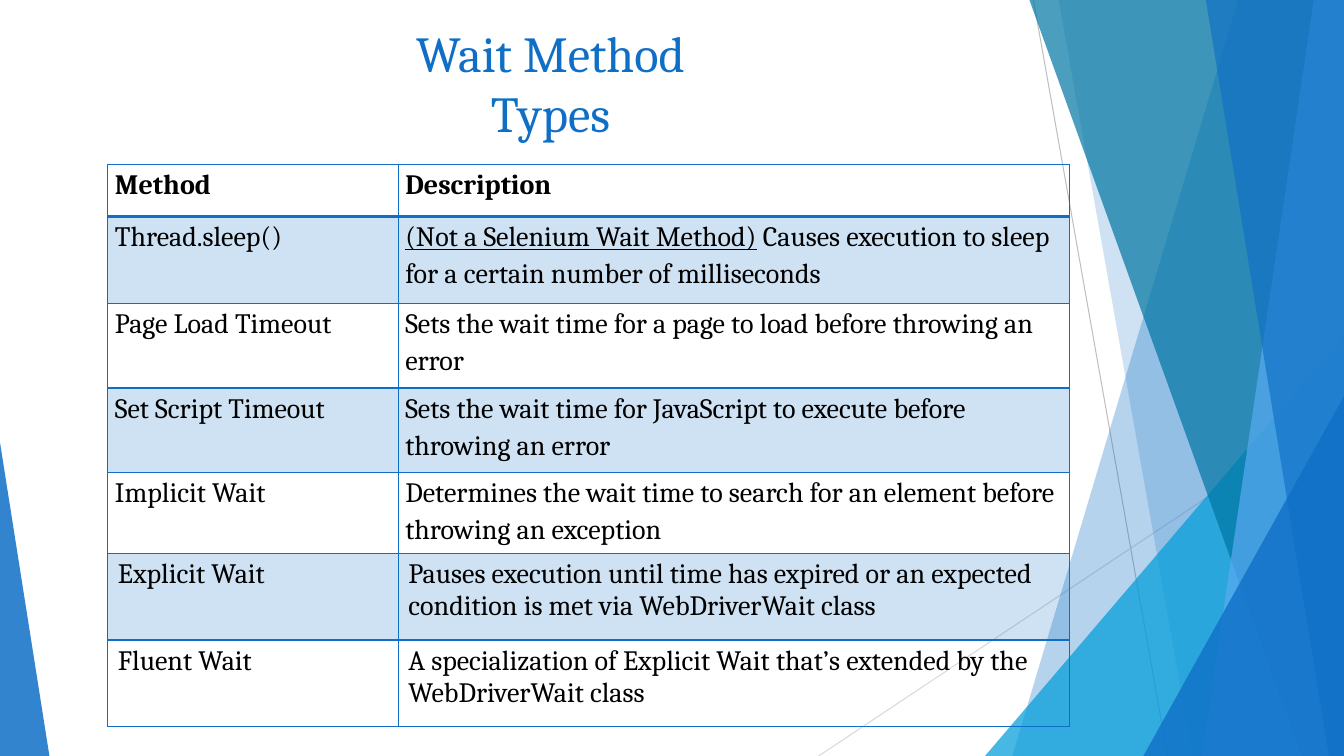
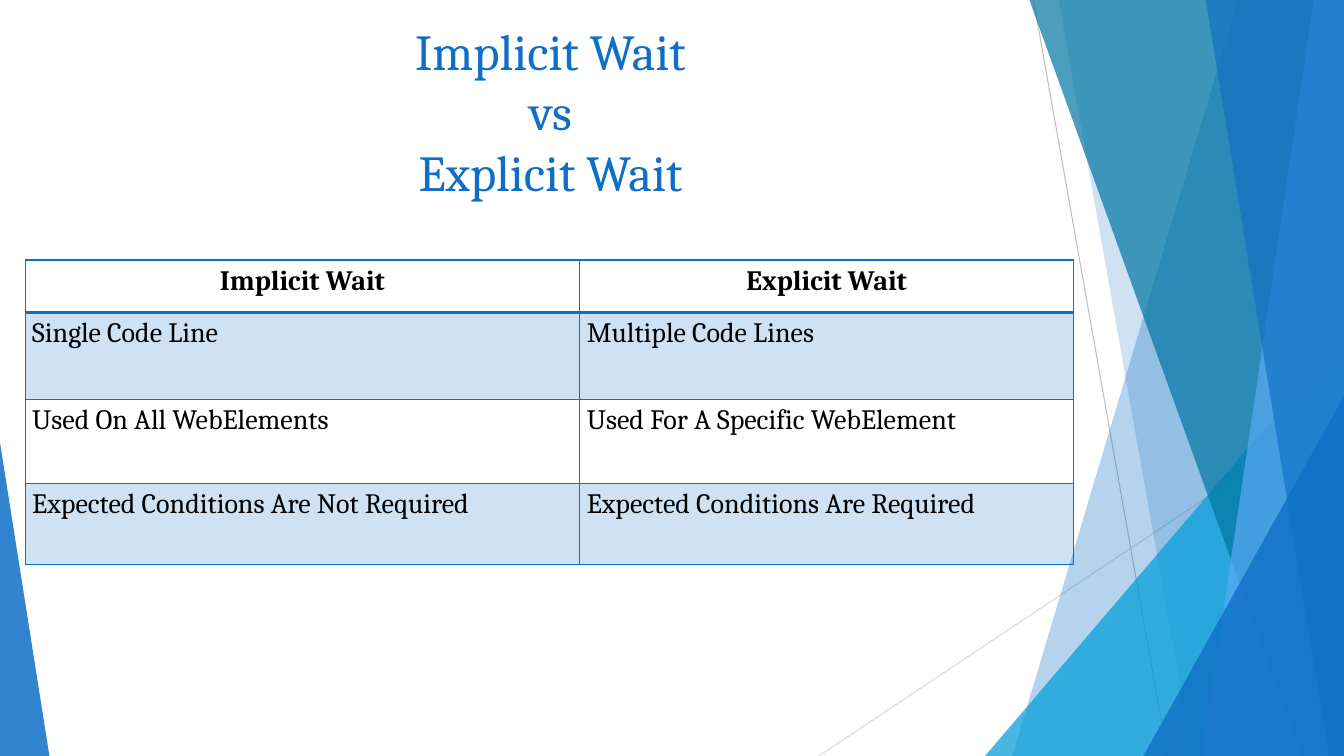
from pptx import Presentation
from pptx.dml.color import RGBColor
from pptx.enum.shapes import MSO_CONNECTOR, MSO_SHAPE
from pptx.enum.text import MSO_ANCHOR, PP_ALIGN
from pptx.oxml.ns import qn
from pptx.util import Inches, Pt
from lxml.etree import SubElement

WIDE, HIGH = 13.33, 7.5
BLUE, CYAN, TEAL, SKY = "0F6FC6", "009DD9", "0076A3", "59AAF2"
BLACK, FONT = "000000", "Cambria"

WAITS = [
    ("Method", "Description"),
    ("Thread.sleep()", ("(Not a Selenium Wait Method)",
                        " Causes execution to sleep for a certain number of milliseconds")),
    ("Page Load Timeout", "Sets the wait time for a page to load before throwing an error"),
    ("Set Script Timeout",
     "Sets the wait time for JavaScript to execute before throwing an error"),
    ("Implicit Wait",
     "Determines the wait time to search for an element before throwing an exception"),
    ("Explicit Wait", "Pauses execution until time has expired or an expected "
                      "condition is met via WebDriverWait class"),
    ("Fluent Wait", "A specialization of Explicit Wait that’s extended by the "
                    "WebDriverWait class"),
]
VERSUS = [
    ("Implicit Wait", "Explicit Wait"),
    ("Single Code Line", "Multiple Code Lines"),
    ("Used On All WebElements", "Used For A Specific WebElement"),
    ("Expected Conditions Are Not Required", "Expected Conditions Are Required"),
]


def rgb(code):
    return RGBColor.from_string(code)


def tint(fill, code, alpha):
    """Solid fill with an opacity in percent."""
    fill.solid()
    fill.fore_color.rgb = rgb(code)
    color = fill._xPr.find(qn("a:solidFill"))[0]
    SubElement(color, qn("a:alpha"), val=str(alpha * 1000))


def style(run, size, code, bold=False):
    font = run.font
    font.name, font.size, font.bold = FONT, Pt(size), bold
    font.color.rgb = rgb(code)


def finish(shape, code, alpha):
    tint(shape.fill, code, alpha)
    shape.line.fill.background()
    shape.shadow.inherit = False


def ray(slide, start, end, code):
    line = slide.shapes.add_connector(
        MSO_CONNECTOR.STRAIGHT, *(Inches(n) for n in (*start, *end)))
    line.line.color.rgb = rgb(code)
    line.line.width = Pt(0.75)
    SubElement(line._element.spPr, qn("a:effectLst"))


def band(slide, top, foot, code, alpha):
    """Full-height band from a slanted left edge to the slide's right edge."""
    points = [(Inches(x), Inches(y))
              for x, y in ((top, 0), (WIDE, 0), (WIDE, HIGH), (foot, HIGH))]
    pen = slide.shapes.build_freeform(*points[0])
    pen.add_line_segments(points[1:], close=True)
    finish(pen.convert_to_shape(), code, alpha)


def wedge(slide, left, top, width, peak, code, alpha):
    """Triangle on the slide's bottom edge; peak is 0 at left, 1 at right."""
    shape = slide.shapes.add_shape(
        MSO_SHAPE.ISOSCELES_TRIANGLE, Inches(left), Inches(top),
        Inches(width), Inches(HIGH - top))
    shape.adjustments[0] = peak
    finish(shape, code, alpha)


def facets(slide):
    ray(slide, (10.25, 0), (11.58, HIGH), "BFBFBF")
    ray(slide, (WIDE, 4.03), (8.12, HIGH), "D9D9D9")
    band(slide, 12.28, 10.04, BLUE, 30)
    band(slide, 10.5, 11.83, BLUE, 20)
    wedge(slide, 9.77, 3.33, WIDE - 9.77, 1, CYAN, 72)
    band(slide, 10.21, 12.91, TEAL, 70)
    band(slide, 13.03, 11.92, SKY, 70)
    band(slide, 11.96, 13.18, BLUE, 65)
    wedge(slide, 11.34, 3.93, WIDE - 11.34, 1, BLUE, 80)
    wedge(slide, 0, 4.39, 0.49, 0, BLUE, 85)


def title(slide, text, top):
    box = slide.shapes.add_textbox(Inches(1.07), Inches(top), Inches(8.78), Inches(1.17))
    frame = box.text_frame
    frame.word_wrap = True
    frame.vertical_anchor = MSO_ANCHOR.TOP
    frame.text = text
    for para in frame.paragraphs:
        para.alignment = PP_ALIGN.CENTER
        style(para.runs[0], 36, BLUE)


def border(cell, head):
    props = cell._tc.get_or_add_tcPr()
    for side in "LRTB":
        width = 2 if head and side == "B" else 1
        line = SubElement(props, qn(f"a:ln{side}"), w=str(Pt(width)))
        SubElement(SubElement(line, qn("a:solidFill")), qn("a:srgbClr"), val=BLUE)


def write(cell, text, head, loose):
    """Fill a cell; of a pair of texts the first is underlined."""
    para = cell.text_frame.paragraphs[0]
    parts = (text,) if isinstance(text, str) else text
    for part in parts:
        run = para.add_run()
        run.text = part
        style(run, 20, BLACK, head)
    if len(parts) > 1:
        para.runs[0].font.underline = True
    if loose:
        cell.margin_left = cell.margin_right = Inches(0.07)
        cell.margin_top = cell.margin_bottom = 0
        para.line_spacing, para.space_after = 1.15, Pt(10)
    return para


def grid(slide, data, left, top, cols, rows, loose, center=False):
    """Banded table; the first `loose` rows have wider line spacing."""
    table = slide.shapes.add_table(
        len(rows), len(cols), Inches(left), Inches(top),
        Inches(sum(cols)), Inches(sum(rows))).table
    table.first_row = table.horz_banding = False
    for col, width in zip(table.columns, cols):
        col.width = Inches(width)
    for i, (row, height) in enumerate(zip(table.rows, rows)):
        row.height = Inches(height)
        head = i == 0
        for cell, text in zip(row.cells, data[i]):
            para = write(cell, text, head, i < loose)
            if head and center:
                para.alignment = PP_ALIGN.CENTER
            border(cell, head)
            if i % 2:
                tint(cell.fill, BLUE, 20)
            else:
                cell.fill.background()


def page(deck, text, top):
    slide = deck.slides.add_slide(deck.slide_layouts[6])
    facets(slide)
    title(slide, text, top)
    return slide


def main():
    deck = Presentation()
    deck.slide_width, deck.slide_height = Inches(WIDE), Inches(HIGH)
    slide = page(deck, "Wait Method\nTypes", 0.17)
    grid(slide, WAITS, 1.07, 1.63, (2.88, 6.66),
         (0.52, 0.86, 0.84, 0.84, 0.8, 0.86, 0.86), loose=5)
    slide = page(deck, "Implicit Wait\nvs\nExplicit Wait", 0.15)
    grid(slide, VERSUS, 0.25, 2.58, (5.5, 4.9),
         (0.52, 0.86, 0.84, 0.8), loose=4, center=True)
    deck.save("out.pptx")


if __name__ == "__main__":
    main()
